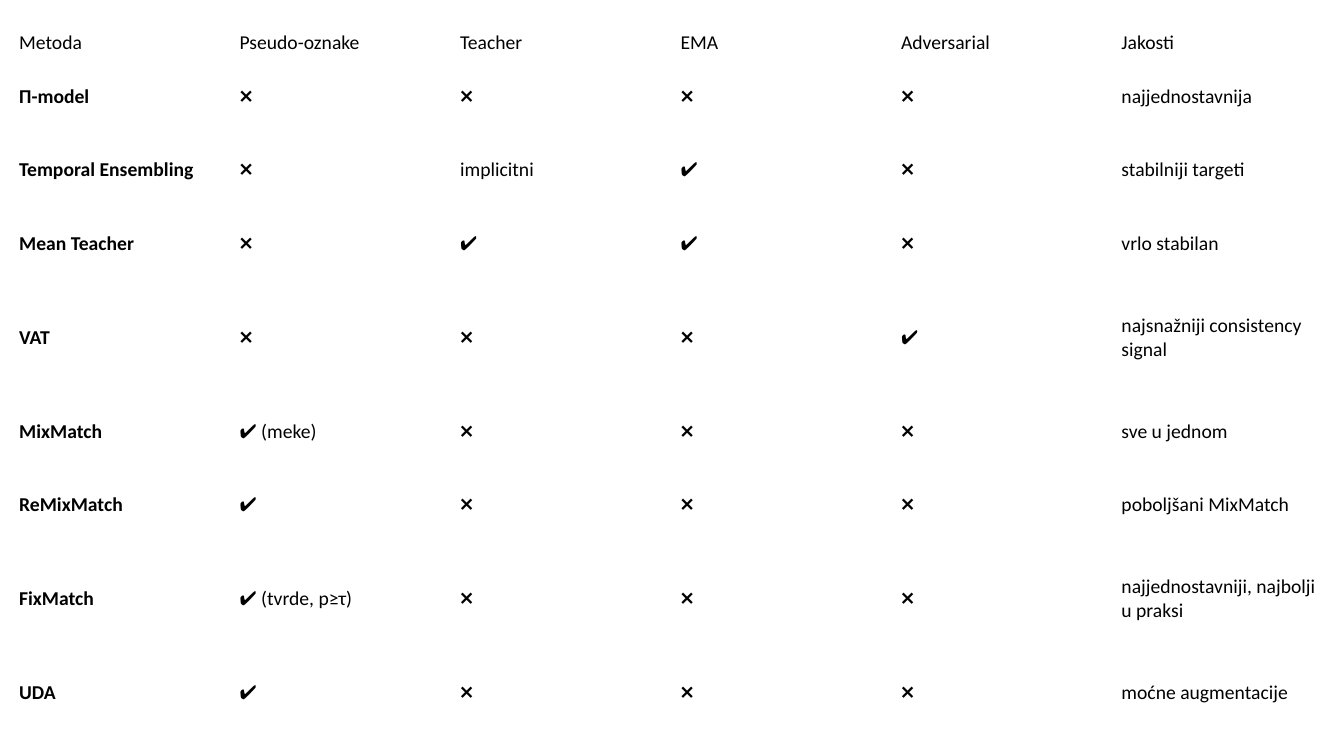
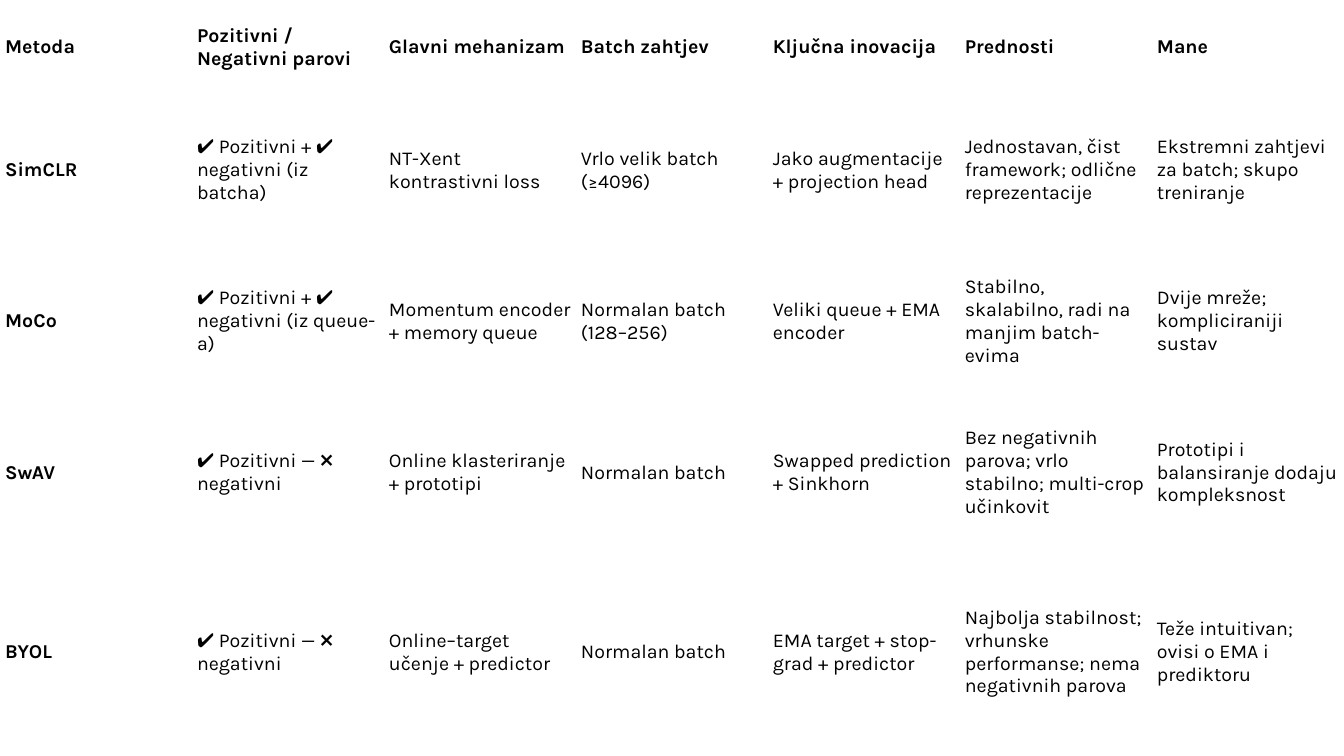
from pptx import Presentation
from pptx.dml.color import RGBColor as Rgb
from pptx.enum.text import MSO_ANCHOR as Anchor
from pptx.util import Inches, Pt

WIDE, HIGH = 13.33, 7.5
SIZE = 14
HUES = {"text": "000000", "page": "FFFFFF"}
NO, YES = "❌", "✔️"

METHODS = [
    ("Metoda", "Pseudo-oznake", "Teacher", "EMA", "Adversarial", "Jakosti"),
    ("Π-model", NO, NO, NO, NO, "najjednostavnija"),
    ("Temporal Ensembling", NO, "implicitni", YES, NO, "stabilniji targeti"),
    ("Mean Teacher", NO, YES, YES, NO, "vrlo stabilan"),
    ("VAT", NO, NO, NO, YES, "najsnažniji consistency signal"),
    ("MixMatch", f"{YES} (meke)", NO, NO, NO, "sve u jednom"),
    ("ReMixMatch", YES, NO, NO, NO, "poboljšani MixMatch"),
    ("FixMatch", f"{YES} (tvrde, p≥τ)", NO, NO, NO,
     "najjednostavniji, najbolji u praksi"),
    ("UDA", YES, NO, NO, NO, "moćne augmentacije"),
]

PAIRS = [
    ("Metoda", "Pozitivni / Negativni parovi", "Glavni mehanizam",
     "Batch zahtjev", "Ključna inovacija", "Prednosti", "Mane"),
    ("SimCLR", "✔ Pozitivni + ✔ negativni (iz batcha)",
     "NT-Xent kontrastivni loss", "Vrlo velik batch (≥4096)",
     "Jako augmentacije + projection head",
     "Jednostavan, čist framework; odlične reprezentacije",
     "Ekstremni zahtjevi za batch; skupo treniranje"),
    ("MoCo", "✔ Pozitivni + ✔ negativni (iz queue-a)",
     "Momentum encoder + memory queue", "Normalan batch (128–256)",
     "Veliki queue + EMA encoder",
     "Stabilno, skalabilno, radi na manjim batch-evima",
     "Dvije mreže; kompliciraniji sustav"),
    ("SwAV", "✔ Pozitivni — ❌ negativni",
     "Online klasteriranje + prototipi", "Normalan batch",
     "Swapped prediction + Sinkhorn",
     "Bez negativnih parova; vrlo stabilno; multi-crop učinkovit",
     "Prototipi i balansiranje dodaju kompleksnost"),
    ("BYOL", "✔ Pozitivni — ❌ negativni",
     "Online–target učenje + predictor", "Normalan batch",
     "EMA target + stop-grad + predictor",
     "Najbolja stabilnost; vrhunske performanse; nema negativnih parova",
     "Teže intuitivan; ovisi o EMA i prediktoru"),
]

TABLES = [
    {"rows": METHODS, "shares": (4, 4, 7, 4, 10, 4, 7, 7, 7),
     "box": (0.11, 0.16, 13.12, 7.18), "pad": (0.08, 0.04),
     "font": "Calibri", "head": False},
    {"rows": PAIRS, "shares": (5, 8, 8, 8, 11),
     "box": (0, 0, WIDE, HIGH), "pad": (0.05, 0.03),
     "font": "Karla", "head": True},
]


def write(cell, text, font, bold, pad):
    side, edge = map(Inches, pad)
    cell.margin_left = cell.margin_right = side
    cell.margin_top = cell.margin_bottom = edge
    cell.vertical_anchor = Anchor.MIDDLE
    cell.fill.background()
    run = cell.text_frame.paragraphs[0].add_run()
    run.text = text
    run.font.name = font
    run.font.size = Pt(SIZE)
    run.font.bold = bold
    run.font.color.rgb = Rgb.from_string(HUES["text"])


def draw(slide, rows, shares, box, pad, font, head):
    count = len(rows[0])
    grid = slide.shapes.add_table(len(rows), count, *map(Inches, box)).table
    grid.first_row = grid.horz_banding = False
    wide, high = box[2:]
    for col in grid.columns:
        col.width = Inches(wide / count)
    for r, (row, share) in enumerate(zip(rows, shares)):
        grid.rows[r].height = Inches(high * share / sum(shares))
        for c, text in enumerate(row):
            bold = head if r == 0 else c == 0
            write(grid.cell(r, c), text, font, bold, pad)


def main():
    deck = Presentation()
    deck.slide_width, deck.slide_height = Inches(WIDE), Inches(HIGH)
    blank = deck.slide_layouts.get_by_name("Blank")
    for table in TABLES:
        slide = deck.slides.add_slide(blank)
        slide.background.fill.solid()
        slide.background.fill.fore_color.rgb = Rgb.from_string(HUES["page"])
        draw(slide, **table)
    deck.save("out.pptx")


if __name__ == "__main__":
    main()
